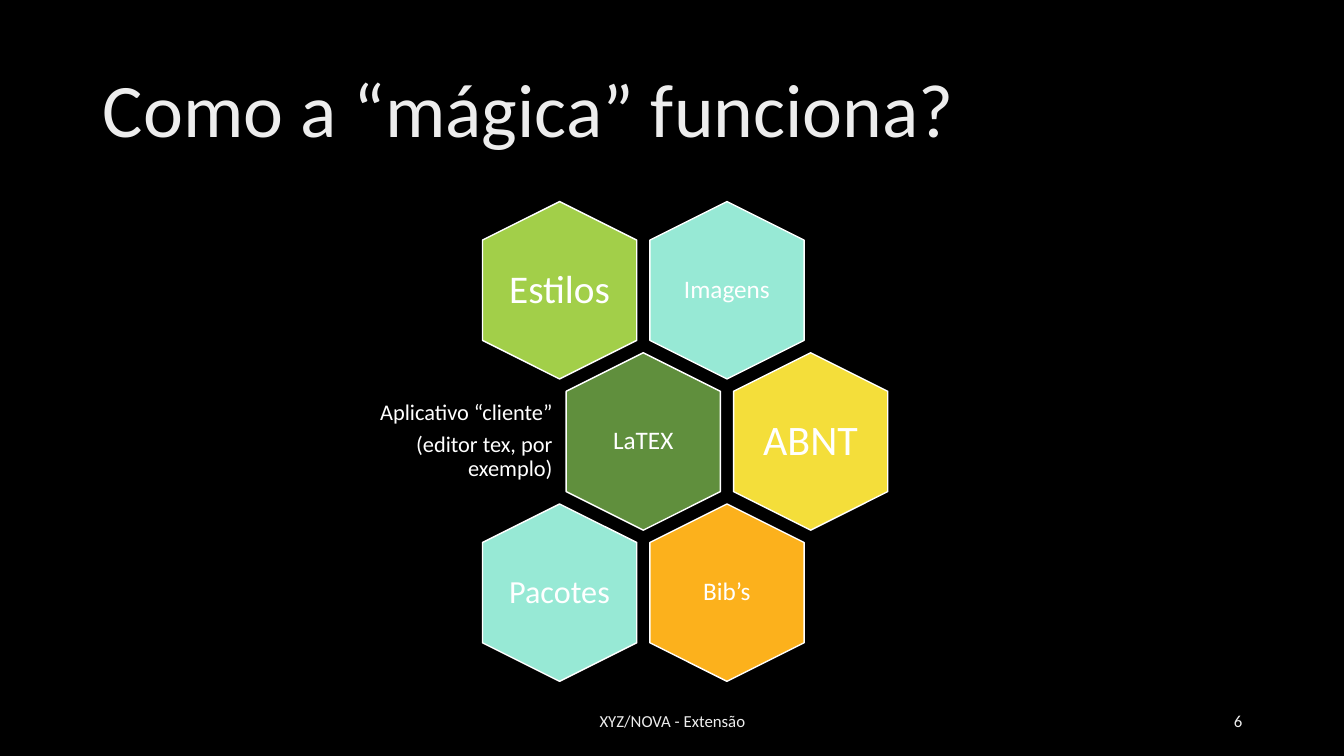
import pptx
import pptx.util
import pptx.dml.color
import pptx.enum.shapes
import pptx.enum.text

Inches, Pt = pptx.util.Inches, pptx.util.Pt
ALIGN = pptx.enum.text.PP_ALIGN
MIDDLE = pptx.enum.text.MSO_ANCHOR.MIDDLE

TITLE = "Como a “mágica” funciona?"
CLIENT = ["Aplicativo “cliente”", "(editor tex, por exemplo)"]
FOOTER, NUMBER = "XYZ/NOVA - Extensão", "6"
COLORS = {"back": "000000", "white": "FFFFFF", "soft": "EDEDED", "aqua": "97E9D5",
          "lime": "A2CF49", "green": "608F3D", "yellow": "F4DE3A", "orange": "FCB11C"}
HEXAGONS = [
    [("Estilos", 28, "lime"), ("Imagens", 18, "aqua")],
    [("LaTEX", 18, "green"), ("ABNT", 30, "yellow")],
    [("Pacotes", 23, "aqua"), ("Bib’s", 18, "orange")],
]
FONT = "Calibri"
SLIDE_W, SLIDE_H = 13.33, 7.5
HEX_W, HEX_H = 1.76, 1.53
COL, ROW = 1.66, 1.5
FIRST_X, FIRST_Y = 5.55, 2.88
LABEL_W, LABEL_H = 1.06, 1.21


def rgb(name):
    return pptx.dml.color.RGBColor.from_string(COLORS[name])


def write(sp, lines, size, color, align, spacing=1.0, after=0):
    tf = sp.text_frame
    tf.word_wrap = True
    tf.vertical_anchor = MIDDLE
    tf.text = "\n".join(lines)
    for p in tf.paragraphs:
        p.alignment = align
        p.line_spacing = spacing
        p.space_after = Pt(after)
        for r in p.runs:
            r.font.name = FONT
            r.font.size = Pt(size)
            r.font.color.rgb = rgb(color)


def textbox(slide, left, top, width, height, inset=0.07):
    sp = slide.shapes.add_textbox(*map(Inches, (left, top, width, height)))
    tf = sp.text_frame
    tf.margin_left = tf.margin_right = tf.margin_top = tf.margin_bottom = Inches(inset)
    return sp


def hexagon(slide, x, y, text, size, color):
    sp = slide.shapes.add_shape(
        pptx.enum.shapes.MSO_SHAPE.HEXAGON,
        *map(Inches, (x - HEX_W / 2, y - HEX_H / 2, HEX_W, HEX_H)))
    sp.rotation = 90
    sp.shadow.inherit = False
    sp.fill.solid()
    sp.fill.fore_color.rgb = rgb(color)
    sp.line.color.rgb = rgb("white")
    sp.line.width = Pt(1)
    label = textbox(slide, x - LABEL_W / 2, y - LABEL_H / 2, LABEL_W, LABEL_H, 0)
    write(label, [text], size, "white", ALIGN.CENTER, 0.9)


def main():
    prs = pptx.Presentation()
    prs.slide_width, prs.slide_height = Inches(SLIDE_W), Inches(SLIDE_H)
    slide = prs.slides.add_slide(prs.slide_layouts[5])
    slide.background.fill.solid()
    slide.background.fill.fore_color.rgb = rgb("back")

    title = slide.shapes.title
    title.left, title.top, title.width, title.height = map(Inches, (0.92, 0.4, 11.5, 1.45))
    write(title, [TITLE], 54, "soft", ALIGN.LEFT, 0.9)

    for row, cells in enumerate(HEXAGONS):
        for col, cell in enumerate(cells):
            x = FIRST_X + (col + row % 2 / 2) * COL
            hexagon(slide, x, FIRST_Y + row * ROW, *cell)

    client = textbox(slide, 3.65, 3.85, 1.9, 1.06)
    write(client, CLIENT, 16, "white", ALIGN.RIGHT, 0.9, 5.6)

    for text, left, width, align in [(FOOTER, 4.42, 4.5, ALIGN.CENTER),
                                     (NUMBER, 9.42, 3, ALIGN.RIGHT)]:
        write(textbox(slide, left, 6.95, width, 0.4, 0.1), [text], 12, "soft", align)

    prs.save("out.pptx")


if __name__ == "__main__":
    main()
